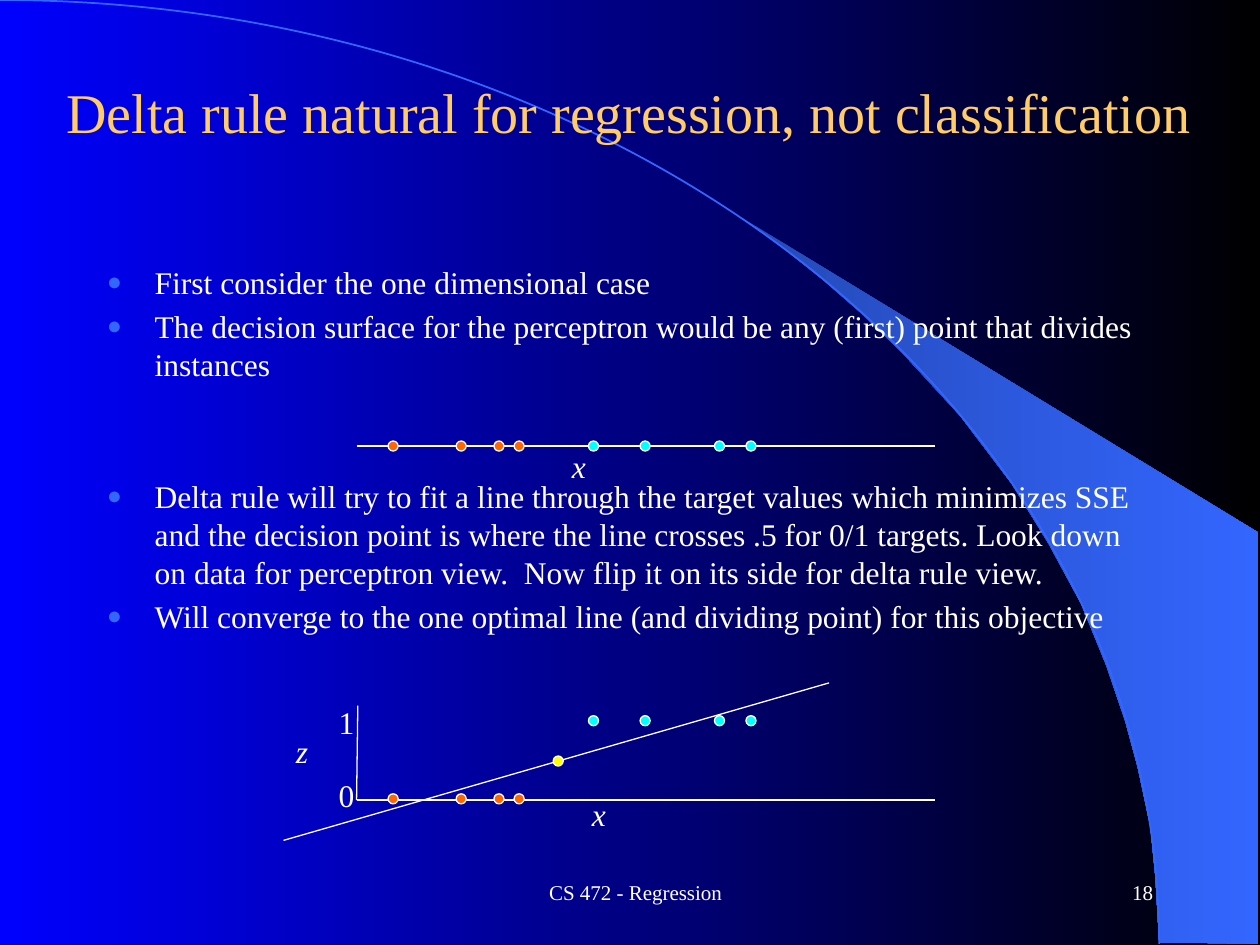
from collections import namedtuple
from dataclasses import dataclass

from lxml.etree import SubElement
from pptx import Presentation
from pptx.dml.color import RGBColor
from pptx.enum.shapes import MSO_CONNECTOR, MSO_SHAPE
from pptx.enum.text import MSO_ANCHOR, PP_ALIGN
from pptx.oxml.ns import qn
from pptx.util import Inches, Pt

Box = namedtuple("Box", "x y w h")


@dataclass(frozen=True)
class Theme:
    font: str = "Times New Roman"
    title: str = "FFCC66"
    text: str = "FFFFFF"
    blue: str = "3366FF"
    deep: str = "2449B6"
    left: str = "0000FF"
    right: str = "000000"
    low: str = "FF6600"
    high: str = "00FFFF"
    split: str = "FFFF00"
    head: int = 32
    body: int = 18
    foot: int = 12
    thin: float = 0.75


T = Theme()
LOW = [0.25, 0.79, 1.09, 1.25]      # class 0 along x
HIGH = [1.84, 2.25, 2.84, 3.09]     # class 1 along x
DOT = 0.08
WEDGE = [(9.2, 7.48), (9.99, 7.49), (9.99, 4.23), (5.89, 1.73), (6.24, 1.99),
         (6.53, 2.22), (6.85, 2.5), (7.16, 2.8), (7.62, 3.3), (8.03, 3.84),
         (8.32, 4.31), (8.58, 4.79), (8.78, 5.28), (8.93, 5.72), (9.03, 6.09),
         (9.13, 6.56), (9.17, 6.96)]
POINTS = [
    ("First consider the one dimensional case", 0),
    ("The decision surface for the perceptron would be any (first) point "
     "that divides instances", 3.6),
    ("Delta rule will try to fit a line through the target values which "
     "minimizes SSE and the decision point is where the line crosses .5 for "
     "0/1 targets. Look down on data for perceptron view.  Now flip it on its "
     "side for delta rule view.", 54),  # leaves room for the number line
    ("Will converge to the one optimal line (and dividing point) for this "
     "objective", 3.6),
]


def rgb(code):
    return RGBColor.from_string(code)


def blend(fill, first, last):
    fill.gradient()
    fill.gradient_angle = 0
    for stop, code, pos in zip(fill.gradient_stops, (first, last), (0, 1)):
        stop.color.rgb = rgb(code)
        stop.position = pos


def place(shape, box):
    shape.left, shape.top, shape.width, shape.height = map(Inches, box)


def write(para, text, size, color=T.text, italic=False):
    run = para.add_run()
    run.text = text
    font = run.font
    font.name, font.size, font.italic = T.font, Pt(size), italic
    font.color.rgb = rgb(color)


def label(slide, box, text, size=T.body, align=PP_ALIGN.LEFT,
          anchor=MSO_ANCHOR.TOP, wrap=False, italic=False):
    frame = slide.shapes.add_textbox(*map(Inches, box)).text_frame
    frame.word_wrap, frame.vertical_anchor = wrap, anchor
    para = frame.paragraphs[0]
    para.alignment = align
    write(para, text, size, italic=italic)


def line(slide, x1, y1, x2, y2):
    rule = slide.shapes.add_connector(
        MSO_CONNECTOR.STRAIGHT, *map(Inches, (x1, y1, x2, y2)))
    rule.line.color.rgb = rgb(T.text)
    rule.line.width = Pt(T.thin)
    SubElement(rule.element.spPr, qn("a:effectLst"))


def dots(slide, x, y, steps, color):
    for step in steps:
        dot = slide.shapes.add_shape(
            MSO_SHAPE.OVAL, *map(Inches, (x + step, y, DOT, DOT)))
        dot.shadow.inherit = False
        dot.fill.solid()
        dot.fill.fore_color.rgb = rgb(color)
        dot.line.color.rgb = rgb(T.text)
        dot.line.width = Pt(T.thin)


def outline(slide, points, close):
    spots = [(Inches(x), Inches(y)) for x, y in points]
    build = slide.shapes.build_freeform(*spots[0])
    build.add_line_segments(spots[1:], close=close)
    shape = build.convert_to_shape()
    shape.shadow.inherit = False
    return shape


def backdrop(slide, box):
    """Gradient, wedge and quarter ellipse."""
    blend(slide.background.fill, T.left, T.right)
    wedge = outline(slide, WEDGE, True)
    blend(wedge.fill, T.deep, T.blue)
    wedge.line.fill.background()

    right, base = box.x + box.w, box.y + box.h
    curve = outline(slide, [(box.x, box.y), (right, base)], False)
    # Bend the one straight segment into a Bezier curve
    edge = next(curve.element.iter(qn("a:lnTo")))
    bend = SubElement(edge.getparent(), qn("a:cubicBezTo"))
    for x, y in ((5.08, 0), (right, 3.35), (right, base)):
        SubElement(bend, qn("a:pt"), x=str(Inches(x - box.x)),
                   y=str(Inches(y - box.y)))
    edge.getparent().replace(edge, bend)
    curve.fill.background()
    curve.line.color.rgb = rgb(T.blue)
    curve.line.width = Pt(1)


def heading(slide, box, text):
    title = slide.shapes.title
    title.element.getparent().append(title.element)  # in front of the backdrop
    place(title, box)
    frame = title.text_frame
    frame.vertical_anchor = MSO_ANCHOR.MIDDLE
    para = frame.paragraphs[0]
    para.alignment = PP_ALIGN.CENTER
    write(para, text, T.head, T.title)


def bullets(slide, box):
    frame = slide.shapes.add_textbox(*map(Inches, box)).text_frame
    frame.word_wrap = True
    for i, (text, gap) in enumerate(POINTS):
        para = frame.add_paragraph() if i else frame.paragraphs[0]
        para.space_before = Pt(gap)
        props = para._p.get_or_add_pPr()
        props.set("marL", str(Inches(0.38)))
        props.set("indent", str(-Inches(0.38)))
        tint = SubElement(props, qn("a:buClr"))
        SubElement(tint, qn("a:srgbClr"), val=T.blue)
        SubElement(props, qn("a:buSzPct"), val="80000")
        SubElement(props, qn("a:buFont"), typeface=T.font)
        SubElement(props, qn("a:buChar"), char="●")
        write(para, text, T.body)


def strip(slide, box):
    """Both classes on one number line."""
    line(slide, box.x, box.y + 0.04, box.x + box.w, box.y + 0.04)
    label(slide, Box(box.x + 1.61, box.y, 0.4, 0.4), "x", italic=True)
    dots(slide, box.x, box.y, HIGH, T.high)
    dots(slide, box.x, box.y, LOW, T.low)


def plot(slide, box):
    """Targets 0 and 1 against x, with the fitted line."""
    x, y, base = box.x, box.y, box.y + box.h
    line(slide, x, base, x + box.w, base)
    label(slide, Box(x + 1.77, base - 0.09, 0.4, 0.4), "x", italic=True)
    dots(slide, x, y + 0.08, HIGH, T.high)
    dots(slide, x, base - 0.05, LOW, T.low)
    line(slide, x, base, x + 0.01, y)
    label(slide, Box(x - 0.58, y + 0.16, 0.39, 0.4), "z", italic=True)
    label(slide, Box(x - 0.24, base - 0.24, 0.33, 0.4), "0")
    label(slide, Box(x - 0.24, y - 0.07, 0.33, 0.4), "1")
    line(slide, x + 3.75, y - 0.18, x - 0.58, base + 0.32)
    dots(slide, x, y + 0.4, [1.56], T.split)


def footer(slide, box):
    for part, text, align in (
            (Box(box.x, box.y, 3.75, box.h), "CS 472 - Regression",
             PP_ALIGN.CENTER),
            (Box(box.x + 4, box.y, 2.08, box.h), "18", PP_ALIGN.RIGHT)):
        label(slide, part, text, T.foot, align, MSO_ANCHOR.MIDDLE, True)


def main():
    deck = Presentation()
    deck.slide_width, deck.slide_height = Inches(10), Inches(7.5)
    slide = deck.slides.add_slide(deck.slide_layouts[5])
    backdrop(slide, Box(0, 0, 9.2, 7.49))
    heading(slide, Box(0.33, 0.42, 9.33, 0.92),
            "Delta rule natural for regression, not classification")
    bullets(slide, Box(0.75, 2.04, 8.5, 3.22))
    footer(slide, Box(3.17, 6.83, 6.08, 0.5))
    strip(slide, Box(2.83, 3.5, 4.59, DOT))
    plot(slide, Box(2.83, 5.6, 4.59, 0.75))
    deck.save("out.pptx")


if __name__ == "__main__":
    main()
